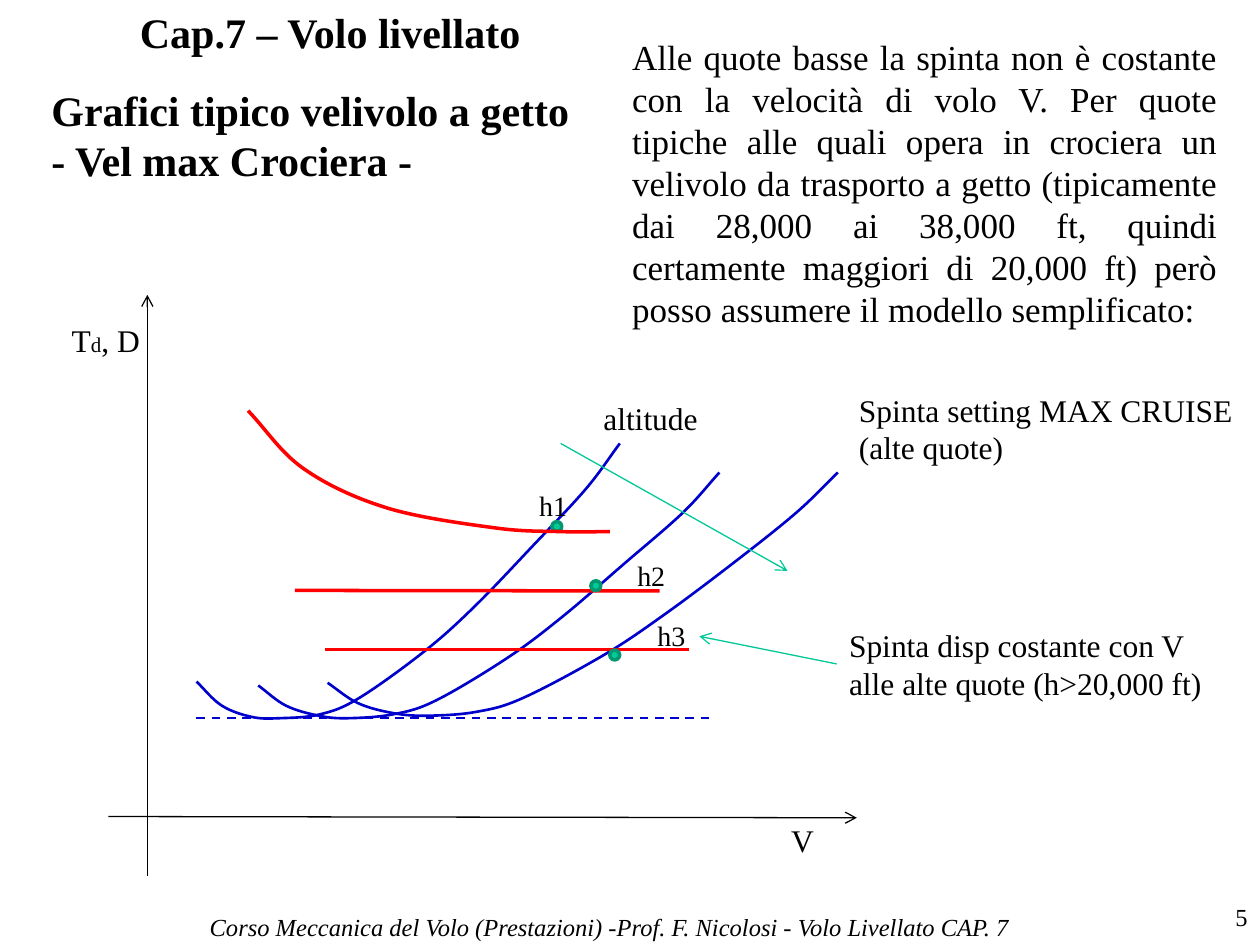
import pptx
import pptx.dml.color
import pptx.enum.dml
import pptx.enum.shapes
import pptx.enum.text
import pptx.oxml
import pptx.oxml.ns
import pptx.util
from pptx.util import Pt

RGBColor = pptx.dml.color.RGBColor
BLACK = RGBColor(0x00, 0x00, 0x00)
BLUE = RGBColor(0x00, 0x00, 0xCC)
RED = RGBColor(0xFF, 0x00, 0x00)
GREEN = RGBColor(0x00, 0xCC, 0x99)
DARK_GREEN = RGBColor(0x00, 0x97, 0x71)
ARROW_GREEN = RGBColor(0x00, 0xC8, 0x96)

FONT = "Times New Roman"
LEFT = pptx.enum.text.PP_ALIGN.LEFT
CENTER = pptx.enum.text.PP_ALIGN.CENTER
RIGHT = pptx.enum.text.PP_ALIGN.RIGHT
JUSTIFY = pptx.enum.text.PP_ALIGN.JUSTIFY

presentation = pptx.Presentation()
presentation.slide_width = Pt(720)
presentation.slide_height = Pt(540)
slide = presentation.slides.add_slide(presentation.slide_layouts[6])


def add_line(start, end, color, width, arrow=False):
    line = slide.shapes.add_connector(
        pptx.enum.shapes.MSO_CONNECTOR.STRAIGHT, *map(Pt, start + end))
    line.line.color.rgb = color
    line.line.width = Pt(width)
    if arrow:
        tail = pptx.oxml.ns.qn("a:tailEnd")
        line.line._get_or_add_ln().makeelement(tail)
        outline = line.line._get_or_add_ln()
        outline.append(outline.makeelement(tail, {"type": "arrow"}))
    properties = line._element.spPr
    properties.append(properties.makeelement(pptx.oxml.ns.qn("a:effectLst")))
    return line


def add_curve(anchors, color, width):
    """Draw a smooth Catmull-Rom curve through the anchors as Bezier segments."""
    points = [(Pt(x), Pt(y)) for x, y in anchors]
    builder = slide.shapes.build_freeform(*points[0])
    builder.add_line_segments(points[1:], close=False)
    shape = builder.convert_to_shape()
    shape.shadow.inherit = False
    shape.fill.background()
    shape.line.color.rgb = color
    shape.line.width = Pt(width)

    local = [(x - shape.left, y - shape.top) for x, y in points]
    before_first = [2 * a - b for a, b in zip(local[0], local[1])]
    after_last = [2 * a - b for a, b in zip(local[-1], local[-2])]
    local = [before_first, *local, after_last]
    segments = list(shape._element.iter(pptx.oxml.ns.qn("a:lnTo")))
    for index, segment in enumerate(segments):
        previous, start, end, following = local[index:index + 4]
        leaving = [s + (e - p) / 6 for p, s, e in zip(previous, start, end)]
        arriving = [e - (f - s) / 6 for s, e, f in zip(start, end, following)]
        bezier = segment.makeelement(pptx.oxml.ns.qn("a:cubicBezTo"))
        for x, y in (leaving, arriving, end):
            position = {"x": str(round(x)), "y": str(round(y))}
            bezier.append(bezier.makeelement(pptx.oxml.ns.qn("a:pt"), position))
        segment.getparent().replace(segment, bezier)


# Axes
add_line((61.9, 466.6), (489.6, 467.3), BLACK, 0.75, arrow=True)
add_line((84.2, 500.4), (84.2, 168.5), BLACK, 0.75, arrow=True)

# Drag curves at three altitudes
drag_curves = [
    [(112.3, 389.5), (126.7, 403.2), (144, 409.7), (159.8, 410.4),
     (182.9, 408.2), (205.2, 398.9), (243.4, 371.5), (272.2, 345.6),
     (304.6, 311.8), (334.8, 279.4), (354.2, 253.4)],
    [(147.6, 391.7), (163.4, 403.2), (182.2, 409), (198.7, 410.4),
     (224.6, 408.2), (249.1, 400.3), (290.2, 375.8), (321.8, 352.1),
     (357.1, 321.8), (390.2, 293), (411.1, 270)],
    [(187.2, 390.2), (204.5, 401.8), (224.6, 407.5), (244.1, 409),
     (272.2, 406.8), (298.8, 398.9), (344.9, 374.4), (379.4, 351.4),
     (419, 321.8), (455, 293), (478.8, 270)],
]
for anchors in drag_curves:
    add_curve(anchors, BLUE, 1.5)

# Constant thrust and the points where it meets drag
add_line((168.5, 337.4), (376.9, 337.7), RED, 2)
add_line((185.8, 371.2), (393.8, 371.2), RED, 2)
for left, top in [(315.4, 298.1), (337.7, 331.9), (348.5, 371.5)]:
    dot = slide.shapes.add_shape(
        pptx.enum.shapes.MSO_SHAPE.OVAL, Pt(left), Pt(top), Pt(5.6), Pt(5.6))
    dot.shadow.inherit = False
    dot.fill.solid()
    dot.fill.fore_color.rgb = GREEN
    dot.line.color.rgb = DARK_GREEN
    dot.line.width = Pt(2)

add_line((320.4, 253.4), (450, 326.2), ARROW_GREEN, 0.75, arrow=True)
minimum_drag = add_line((112.3, 410.4), (404.9, 410.4), BLUE, 1.25)
minimum_drag.line.dash_style = pptx.enum.dml.MSO_LINE.DASH
add_curve([(348.5, 303.8), (321.1, 303.8), (283, 301.7), (221, 290.2),
           (173.5, 267.8), (141.8, 234.7)], RED, 2)
add_line((478.1, 379.4), (399.6, 363.6), ARROW_GREEN, 0.75, arrow=True)

# Texts: lines, (left, top, width, height), size, alignment, wrap, bold, italic
texts = [
    (["Cap.7 – Volo livellato"], (0, 0, 377.3, 36), 24, CENTER, True, True, False),
    (["5"], (570.2, 511.9, 149.8, 28.1), 14, RIGHT, True, False, False),
    (["Corso Meccanica del Volo (Prestazioni) -Prof. F. Nicolosi - Volo Livellato CAP. 7"],
     (106.6, 517.7, 483.8, 22.3), 14, CENTER, True, False, True),
    (["Grafici tipico velivolo a getto", "- Vel max Crociera -"],
     (22.3, 44.6, 313.2, 65.5), 24, LEFT, False, True, False),
    (["Alle quote basse la spinta non è costante con la velocità di volo V. "
      "Per quote tipiche alle quali opera in crociera un velivolo da trasporto "
      "a getto (tipicamente dai 28,000 ai 38,000 ft, quindi certamente maggiori "
      "di 20,000 ft) però posso assumere il modello semplificato:"],
     (354.2, 16.6, 348.5, 177.1), 20, JUSTIFY, True, False, False),
    (["h1"], (301, 275.8, 31, 26.6), 16, LEFT, False, False, False),
    (["h2"], (357.1, 315.4, 31, 26.6), 16, LEFT, False, False, False),
    (["h3"], (368.6, 349.9, 31, 26.6), 16, LEFT, False, False, False),
    (["altitude"], (337.7, 224.6, 69.1, 28.8), 18, LEFT, False, False, False),
    (["V"], (445, 465.8, 27.4, 28.8), 18, LEFT, False, False, False),
    (["Spinta disp costante con V", "alle alte quote (h>20,000 ft)"],
     (478.1, 354.2, 241.9, 51.1), 18, LEFT, True, False, False),
    (["Spinta setting MAX CRUISE", "(alte quote)"],
     (483.8, 219.6, 230.4, 51.1), 18, LEFT, False, False, False),
    (["T", ], (33.8, 180, 54, 28.8), 18, LEFT, False, False, False),
]
for lines, bounds, size, alignment, wrap, bold, italic in texts:
    box = slide.shapes.add_textbox(*map(Pt, bounds))
    frame = box.text_frame
    frame.word_wrap = wrap
    frame.text = "\n".join(lines)
    for paragraph in frame.paragraphs:
        paragraph.alignment = alignment
        paragraph.font.name = FONT
        paragraph.font.size = Pt(size)
        paragraph.font.bold = bold
        paragraph.font.italic = italic
        paragraph.font.color.rgb = BLACK

# The last box is the vertical axis label, with a small "d"
axis_label = frame.paragraphs[0]
subscript = axis_label.add_run()
subscript.text = "d"
subscript.font.size = Pt(12)
axis_label.add_run().text = ", D"

presentation.save("out.pptx")
